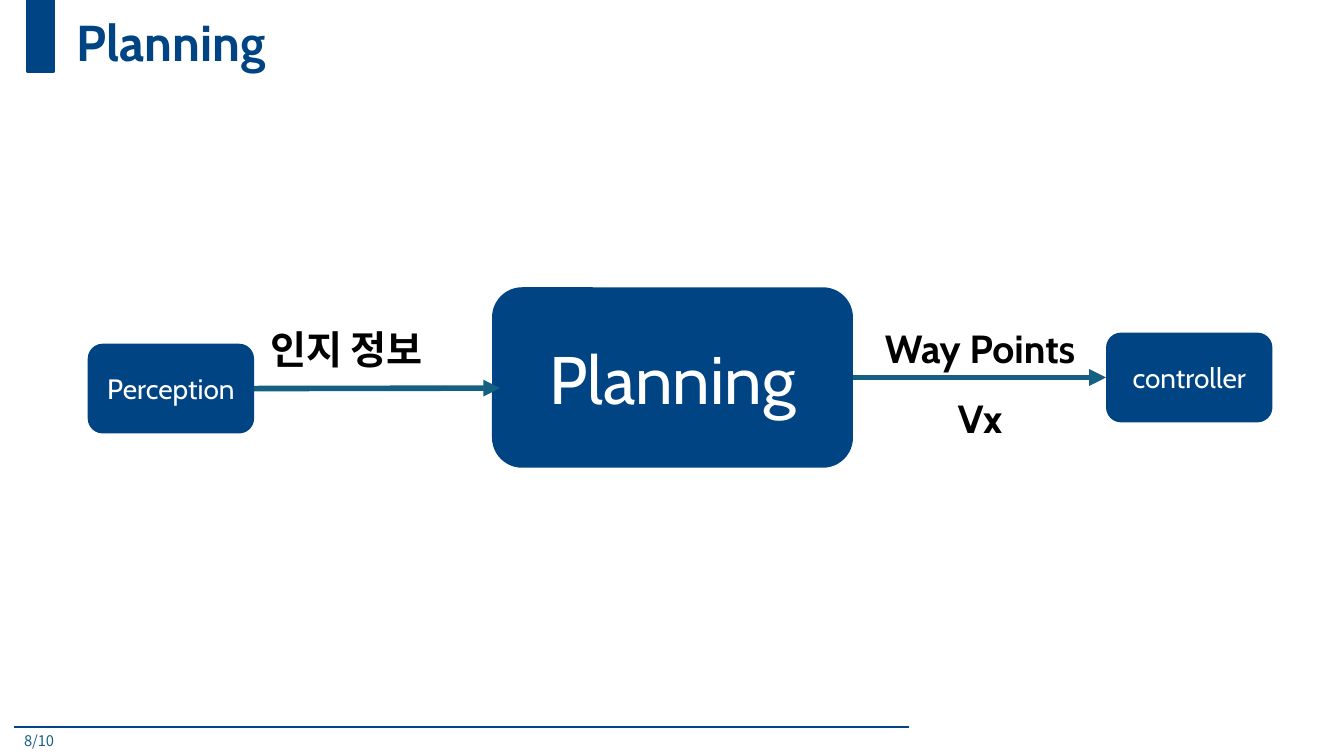
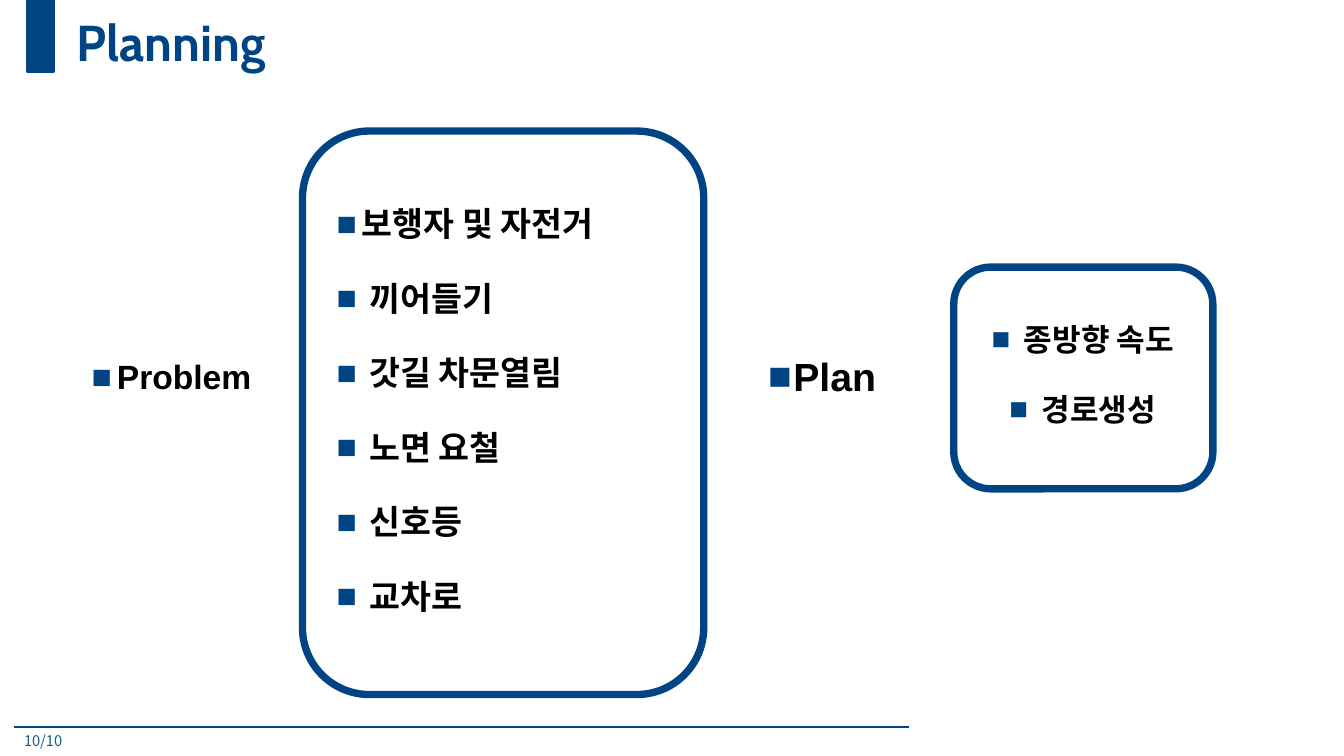
"""Builds two planning slides: the data flow and the problem-to-plan overview."""
import pptx
import pptx.dml.color
import pptx.enum.shapes
import pptx.enum.text
import pptx.oxml
import pptx.oxml.ns
import pptx.util

Inches, Pt = pptx.util.Inches, pptx.util.Pt
SHAPE = pptx.enum.shapes.MSO_SHAPE
STRAIGHT = pptx.enum.shapes.MSO_CONNECTOR.STRAIGHT
ANCHOR = pptx.enum.text.MSO_ANCHOR
ALIGN = pptx.enum.text.PP_ALIGN
FIT = pptx.enum.text.MSO_AUTO_SIZE

COLORS = {"navy": "004483", "rule": "004585", "teal": "156082", "black": "000000", "white": "FFFFFF"}
HEADING, BODY, KOREAN = "Cabin", "Arial", "Noto Sans CJK KR"

TITLE = "Planning"
TITLE_BOX = (0.66, 0, 11.96, 0.89)
PAGE_BOX = (0.14, 7.21, 5.71, 0.29)
STAGES = {
    "Planning": ((4.88, 2.85, 3.58, 1.79), 48),
    "Perception": ((0.87, 3.41, 1.65, 0.89), 20),
    "controller": ((10.97, 3.3, 1.65, 0.89), 20),
}
FLOW_LABELS = [
    (["인지 정보"], (2.58, 3.18, 1.89, 0.57), {"alignment": ALIGN.LEFT}),
    (["Way Points", "Vx"], (8.51, 2.93, 2.42, 1.42), {"alignment": ALIGN.CENTER, "line_spacing": 1.5}),
]
PROBLEM = (["Problem"], (0.81, 3.31, 1.94, 0.89), 24, 0.9, ALIGN.LEFT)
LISTS = [
    (["보행자 및 자전거", " 끼어들기", " 갓길 차문열림", " 노면 요철", " 신호등", " 교차로"],
     (3.24, 1.17, 3.49, 5.59), 24, 1.5, ALIGN.LEFT),
    ([" 종방향 속도", " 경로생성"], (9.66, 2.85, 2.16, 1.53), 22.2, 1.5, ALIGN.CENTER),
    (["Plan"], (7.52, 3.31, 1.94, 0.89), 28, 0.9, ALIGN.LEFT),
]
LIST_FRAMES = [(3, 1.3, 3.98, 5.59), (9.46, 2.65, 2.57, 2.2)]


def rgb(name):
    return pptx.dml.color.RGBColor.from_string(COLORS[name])


def set_all(target, values):
    for name, value in values.items():
        setattr(target, name, value)


def place(shape, box):
    set_all(shape, dict(zip(("left", "top", "width", "height"), map(Inches, box))))


def add_xml(parent, tag, content="", **attributes):
    listed = " ".join(f'{key}="{value}"' for key, value in attributes.items())
    parent.append(pptx.oxml.parse_xml(
        f'<a:{tag} {pptx.oxml.ns.nsdecls("a")} {listed}>{content}</a:{tag}>'))


def write(frame, lines, font, size, color, bold=False, frame_format=None, paragraph_format=None):
    set_all(frame, {"word_wrap": True, "auto_size": FIT.NONE, **(frame_format or {})})
    for index, line in enumerate(lines):
        paragraph = frame.add_paragraph() if index else frame.paragraphs[0]
        set_all(paragraph, paragraph_format or {})
        run = paragraph.add_run()
        run.text = line
        set_all(run.font, {"name": font, "size": Pt(size), "bold": bold})
        run.font.color.rgb = rgb(color)
        add_xml(run.font._element, "ea", typeface=KOREAN)


def write_bullets(frame, items, size, spacing, alignment):
    write(frame, items, BODY, size, "black", True, {"vertical_anchor": ANCHOR.MIDDLE},
          {"alignment": alignment, "line_spacing": spacing, "space_before": Pt(10)})
    for paragraph in frame.paragraphs:
        properties = paragraph._p.get_or_add_pPr()
        properties.set("marL", str(Inches(0.25)))
        properties.set("indent", str(Inches(-0.25)))
        add_xml(properties, "buClr", f'<a:srgbClr val="{COLORS["navy"]}"/>')
        add_xml(properties, "buFont", typeface=BODY)
        add_xml(properties, "buChar", char="■")


def add_box(slide, kind, box, fill=None, line=None, width=1.5):
    shape = slide.shapes.add_shape(kind, *map(Inches, box))
    shape.shadow.inherit = False
    if fill:
        shape.fill.solid()
        shape.fill.fore_color.rgb = rgb(fill)
    else:
        shape.fill.background()
    if line:
        shape.line.color.rgb = rgb(line)
        shape.line.width = Pt(width)
    else:
        shape.line.fill.background()
    return shape


def add_line(slide, start, end, color, width, arrow=False):
    line = slide.shapes.add_connector(STRAIGHT, *map(Inches, start + end))
    line.line.color.rgb = rgb(color)
    line.line.width = Pt(width)
    if arrow:
        add_xml(line.line._get_or_add_ln(), "tailEnd", type="triangle")
    add_xml(line.element.spPr, "effectLst")
    return line


def add_text_box(slide, box):
    return slide.shapes.add_textbox(*map(Inches, box)).text_frame


def add_master_parts(deck, slide):
    parts = [add_line(slide, (0.14, 7.21), (9.02, 7.21), "rule", 1.5),
             add_box(slide, SHAPE.RECTANGLE, (0.27, 0, 0.27, 0.71), "navy", "navy")]
    for number, part in enumerate(parts, 101):
        part.element.xpath(".//p:cNvPr")[0].set("id", str(number))
        deck.slide_master.element.cSld.spTree.append(part.element)


def add_slide(deck, layout, page):
    slide = deck.slides.add_slide(deck.slide_layouts[layout])
    place(slide.shapes.title, TITLE_BOX)
    write(slide.shapes.title.text_frame, [TITLE], HEADING, 36, "navy", True,
          {"vertical_anchor": ANCHOR.MIDDLE}, {"alignment": ALIGN.LEFT, "line_spacing": 0.9})
    write(add_text_box(slide, PAGE_BOX), [page], KOREAN, 10.5, "teal")
    return slide


def fill_flow(slide):
    stages = {}
    for name, (box, size) in STAGES.items():
        stages[name] = add_box(slide, SHAPE.ROUNDED_RECTANGLE, box, "navy")
        write(stages[name].text_frame, [name], HEADING, size, "white",
              frame_format={"vertical_anchor": ANCHOR.MIDDLE},
              paragraph_format={"alignment": ALIGN.CENTER})
    perceived = add_line(slide, (2.52, 3.85), (4.96, 3.85), "teal", 4, True)
    perceived.begin_connect(stages["Perception"], 3)
    planned = add_line(slide, (8.46, 3.74), (10.97, 3.74), "teal", 4, True)
    planned.begin_connect(stages["Planning"], 3)
    planned.end_connect(stages["controller"], 1)
    for lines, box, paragraph_format in FLOW_LABELS:
        write(add_text_box(slide, box), lines, HEADING, 28, "black", True,
              {"word_wrap": False, "auto_size": FIT.SHAPE_TO_FIT_TEXT}, paragraph_format)


def fill_overview(slide):
    items, box, *style = PROBLEM
    problem = slide.placeholders[1]
    place(problem, box)
    write_bullets(problem.text_frame, items, *style)
    for items, box, *style in LISTS:
        write_bullets(add_text_box(slide, box), items, *style)
    for box in LIST_FRAMES:
        add_box(slide, SHAPE.ROUNDED_RECTANGLE, box, line="navy", width=5.25)


def main():
    deck = pptx.Presentation()
    set_all(deck, {"slide_width": Inches(13.33), "slide_height": Inches(7.5)})
    flow = add_slide(deck, 5, "8/10")
    add_master_parts(deck, flow)
    fill_flow(flow)
    fill_overview(add_slide(deck, 1, "10/10"))
    deck.save("out.pptx")


if __name__ == "__main__":
    main()
